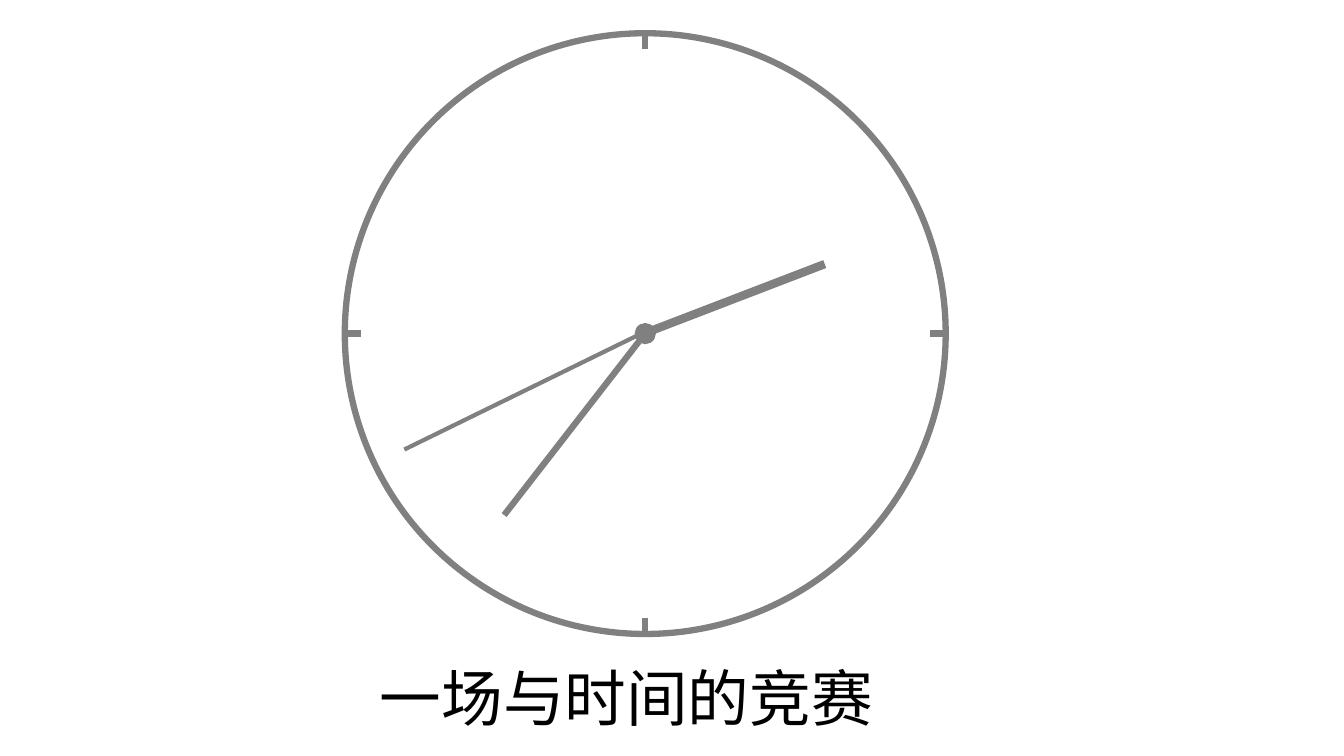
"""Build a slide showing a wall clock above its title."""
from lxml.etree import SubElement
from pptx import Presentation
from pptx.dml.color import RGBColor
from pptx.enum.shapes import MSO_CONNECTOR, MSO_SHAPE
from pptx.enum.text import MSO_ANCHOR
from pptx.oxml.ns import qn
from pptx.util import Inches, Pt

TITLE = "一场与时间的竞赛"
FONT = "Noto Sans CJK SC"
GRAY, BLACK = "808080", "000000"
CENTER_X, CENTER_Y = 6.4, 3.31
RADIUS, HUB_RADIUS, TICK = 2.98, 0.1, 0.16
DIRECTIONS = [(0, -1), (0, 1), (-1, 0), (1, 0)]
MINUTE_HAND = ((5, 5.11), (6.39, 3.32), 4.5)
SECOND_HAND = ((4.01, 4.46), (6.4, 3.29), 3)
HOUR_HAND = ((8.18, 2.62), (6.41, 3.3), 6)


def color(hex_code):
    return RGBColor.from_string(hex_code)


def add_circle(slide, radius, width, filled=False):
    shape = slide.shapes.add_shape(
        MSO_SHAPE.OVAL, Inches(CENTER_X - radius), Inches(CENTER_Y - radius),
        Inches(2 * radius), Inches(2 * radius))
    shape.shadow.inherit = False
    if filled:
        shape.fill.solid()
        shape.fill.fore_color.rgb = color(GRAY)
    else:
        shape.fill.background()
    shape.line.color.rgb = color(GRAY)
    shape.line.width = Pt(width)


def add_line(slide, start, end, width):
    connector = slide.shapes.add_connector(
        MSO_CONNECTOR.STRAIGHT, *[Inches(value) for value in (*start, *end)])
    connector.line.color.rgb = color(GRAY)
    connector.line.width = Pt(width)
    SubElement(connector._element.spPr, qn("a:effectLst"))


def add_title(slide):
    box = slide.shapes.add_textbox(Inches(3.67), Inches(6.61), Inches(5.48), Inches(0.69))
    frame = box.text_frame
    frame.word_wrap = True
    frame.vertical_anchor = MSO_ANCHOR.MIDDLE
    paragraph = frame.paragraphs[0]
    paragraph.text = TITLE
    paragraph.line_spacing = 0.9
    paragraph.font.size = Pt(44)
    paragraph.font.name = FONT
    paragraph.font.color.rgb = color(BLACK)
    properties = paragraph._p.pPr.find(qn("a:defRPr"))
    SubElement(properties, qn("a:ea")).set("typeface", FONT)


def main():
    presentation = Presentation()
    presentation.slide_width = Inches(13.33)
    presentation.slide_height = Inches(7.5)
    slide = presentation.slides.add_slide(presentation.slide_layouts[6])
    add_title(slide)
    add_circle(slide, RADIUS, 4.5)
    for across, down in DIRECTIONS:
        outer, inner = [(CENTER_X + across * reach, CENTER_Y + down * reach)
                        for reach in (RADIUS, RADIUS - TICK)]
        add_line(slide, outer, inner, 4.5)
    add_line(slide, *MINUTE_HAND)
    add_line(slide, *SECOND_HAND)
    add_circle(slide, HUB_RADIUS, 0.75, filled=True)
    add_line(slide, *HOUR_HAND)
    presentation.save("out.pptx")


if __name__ == "__main__":
    main()
